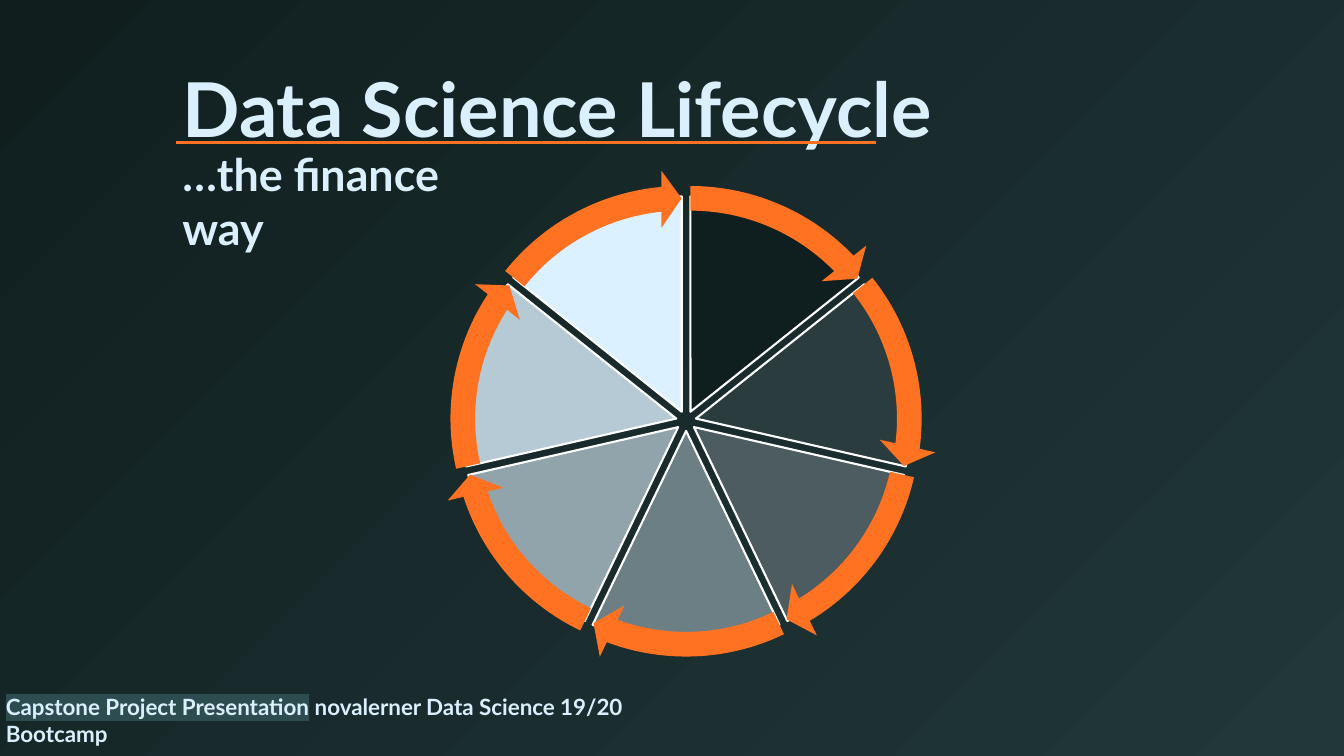
"""Builds the data science lifecycle slide with its seven-part wheel."""
import math

from lxml import etree
from pptx import Presentation
from pptx import util as u
from pptx.dml.color import RGBColor
from pptx.enum import shapes, text
from pptx.oxml.ns import qn

COLOURS = {
    "light": "DBF0FF",
    "accent": "FF7221",
    "outline": "FFFFFF",
    "highlight": "2D4C50",
    "ground_light": "21373A",
    "ground_dark": "101E1E",
}
WEDGES = ["0F1E1E", "2B3C3E", "4C5C60", "6C7F85", "91A4AC", "B6CAD6", "DCF1FF"]
HUB = (6.805, 4.175)
GAP = 0.1
PIE_SIZE, ARROW_SIZE = 4.27, 4.8
UNITS_PER_DEGREE = 0.6
ARROW_HEAD = 3.275


class LifecycleSlide:
    """Holds the style and the current slide."""

    def __init__(self, deck):
        self.font = "Lato"
        self.page = deck.slides.add_slide(deck.slide_layouts[5])

    def colour(self, name):
        return RGBColor.from_string(COLOURS.get(name, name))

    def background(self, start, end, angle):
        fill = self.page.background.fill
        fill.gradient()
        fill.gradient_angle = angle
        for stop, name, position in zip(fill.gradient_stops, (start, end), (0, 1)):
            stop.color.rgb = self.colour(name)
            stop.position = position

    def place(self, box, left, top, width, height):
        box.left, box.top = u.Inches(left), u.Inches(top)
        box.width, box.height = u.Inches(width), u.Inches(height)

    def style(self, span, size):
        span.font.name = self.font
        span.font.size = u.Pt(size)
        span.font.bold = True
        span.font.color.rgb = self.colour("light")

    def title(self, words, bounds, size):
        box = self.page.shapes.title
        self.place(box, *bounds)
        frame = box.text_frame
        frame.text = words
        frame.auto_size = text.MSO_AUTO_SIZE.NONE
        frame.vertical_anchor = text.MSO_ANCHOR.BOTTOM
        para = frame.paragraphs[0]
        para.alignment = text.PP_ALIGN.LEFT
        self.style(para.runs[0], size)

    def textbox(self, spans, bounds, size, space_before=0):
        box = self.page.shapes.add_textbox(*map(u.Inches, bounds))
        box.text_frame.word_wrap = True
        para = box.text_frame.paragraphs[0]
        para.space_before = u.Pt(space_before)
        for words in spans:
            span = para.add_run()
            span.text = words
            self.style(span, size)
        return para

    def highlight(self, span, name):
        fill = span.font._element.find(qn("a:solidFill"))
        mark = etree.Element(qn("a:highlight"))
        etree.SubElement(mark, qn("a:srgbClr"), val=COLOURS[name])
        fill.addnext(mark)

    def rule(self, left, right, height, width):
        line = self.page.shapes.add_connector(
            shapes.MSO_CONNECTOR.STRAIGHT,
            u.Inches(left), u.Inches(height), u.Inches(right), u.Inches(height))
        line.line.color.rgb = self.colour("accent")
        line.line.width = u.Pt(width)
        etree.SubElement(line._element.spPr, qn("a:effectLst"))

    def sector(self, group, kind, centre, size, adjustments, fill, outline=None):
        left, top = (middle - size / 2 for middle in centre)
        shape = group.shapes.add_shape(kind, *map(u.Inches, (left, top, size, size)))
        for index, value in enumerate(adjustments):
            shape.adjustments[index] = value
        shape.shadow.inherit = False
        shape.fill.solid()
        shape.fill.fore_color.rgb = self.colour(fill)
        if outline:
            shape.line.color.rgb = self.colour(outline)
            shape.line.width = u.Pt(1.5)
        else:
            shape.line.fill.background()

    def wheel(self, fills):
        group = self.page.shapes.add_group_shape()
        step = 360 / len(fills)
        sectors = []
        for index, fill in enumerate(fills):
            start = -90 + index * step
            middle = math.radians(start + step / 2)
            centre = (HUB[0] + GAP * math.cos(middle), HUB[1] + GAP * math.sin(middle))
            first, last = (angle % 360 * UNITS_PER_DEGREE for angle in (start, start + step))
            sectors.append((centre, first, last, fill))
        for centre, first, last, fill in sectors:
            self.sector(group, shapes.MSO_SHAPE.PIE, centre, PIE_SIZE,
                        (first, last), fill, "outline")
        for centre, first, last, _ in sectors:
            self.sector(group, shapes.MSO_SHAPE.CIRCULAR_ARROW, centre, ARROW_SIZE,
                        (0.051, ARROW_HEAD, last - ARROW_HEAD, first, 0.059), "accent")


def main():
    deck = Presentation()
    deck.slide_width, deck.slide_height = u.Inches(13.33), u.Inches(7.5)
    slide = LifecycleSlide(deck)
    slide.background("ground_light", "ground_dark", 135)
    slide.title("Data Science Lifecycle", (1.71, 0.61, 9.23, 0.95), 54)
    slide.rule(1.75, 8.69, 1.41, 2)
    slide.textbox(["…the finance way"], (1.71, 1.41, 3.64, 0.55), 32)
    footer = slide.textbox(
        ["Capstone Project Presentation", " novalerner Data Science 19/20 Bootcamp"],
        (-0.04, 6.83, 6.8, 0.29), 16, space_before=10)
    slide.highlight(footer.runs[0], "highlight")
    slide.wheel(WEDGES)
    deck.save("out.pptx")


if __name__ == "__main__":
    main()
